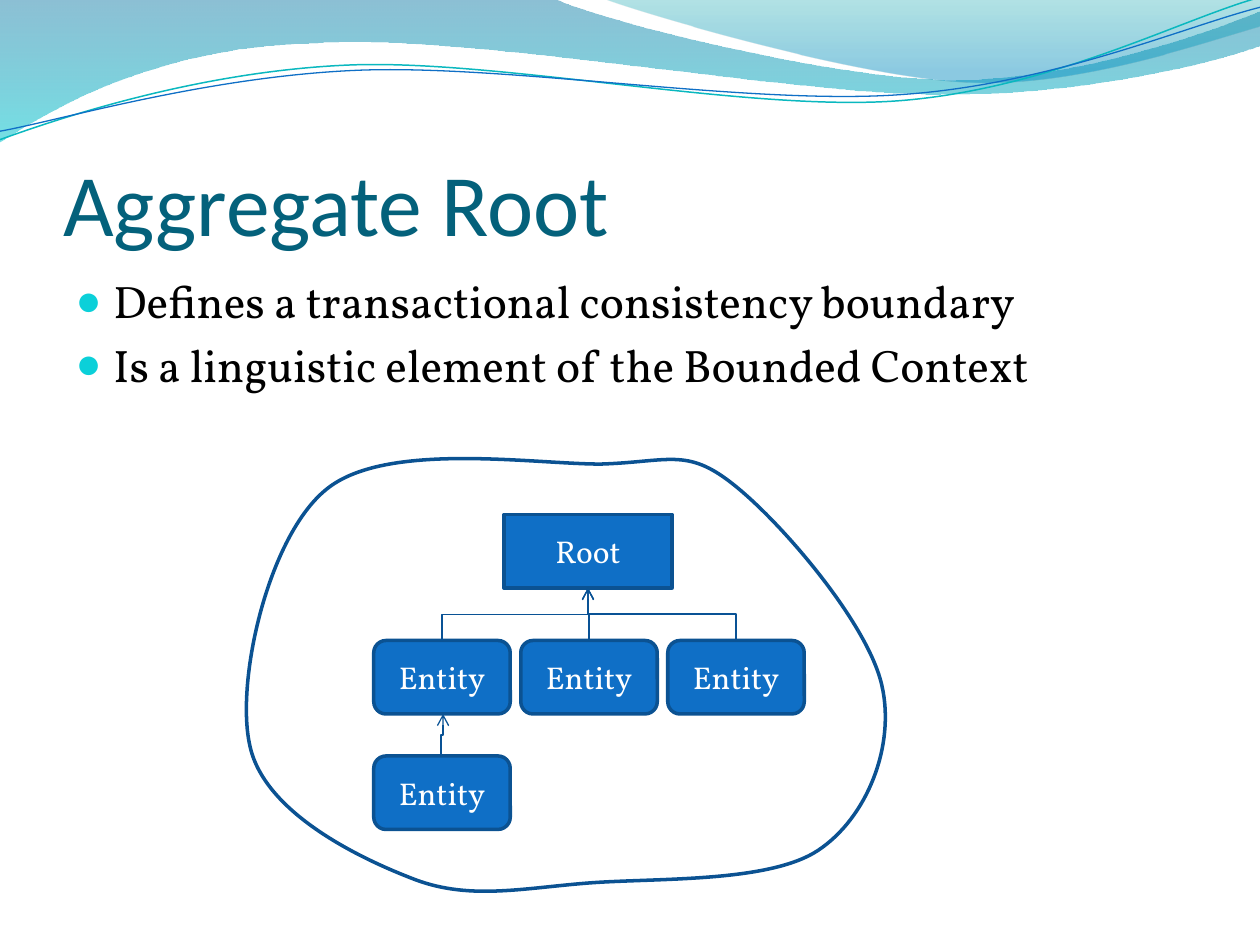
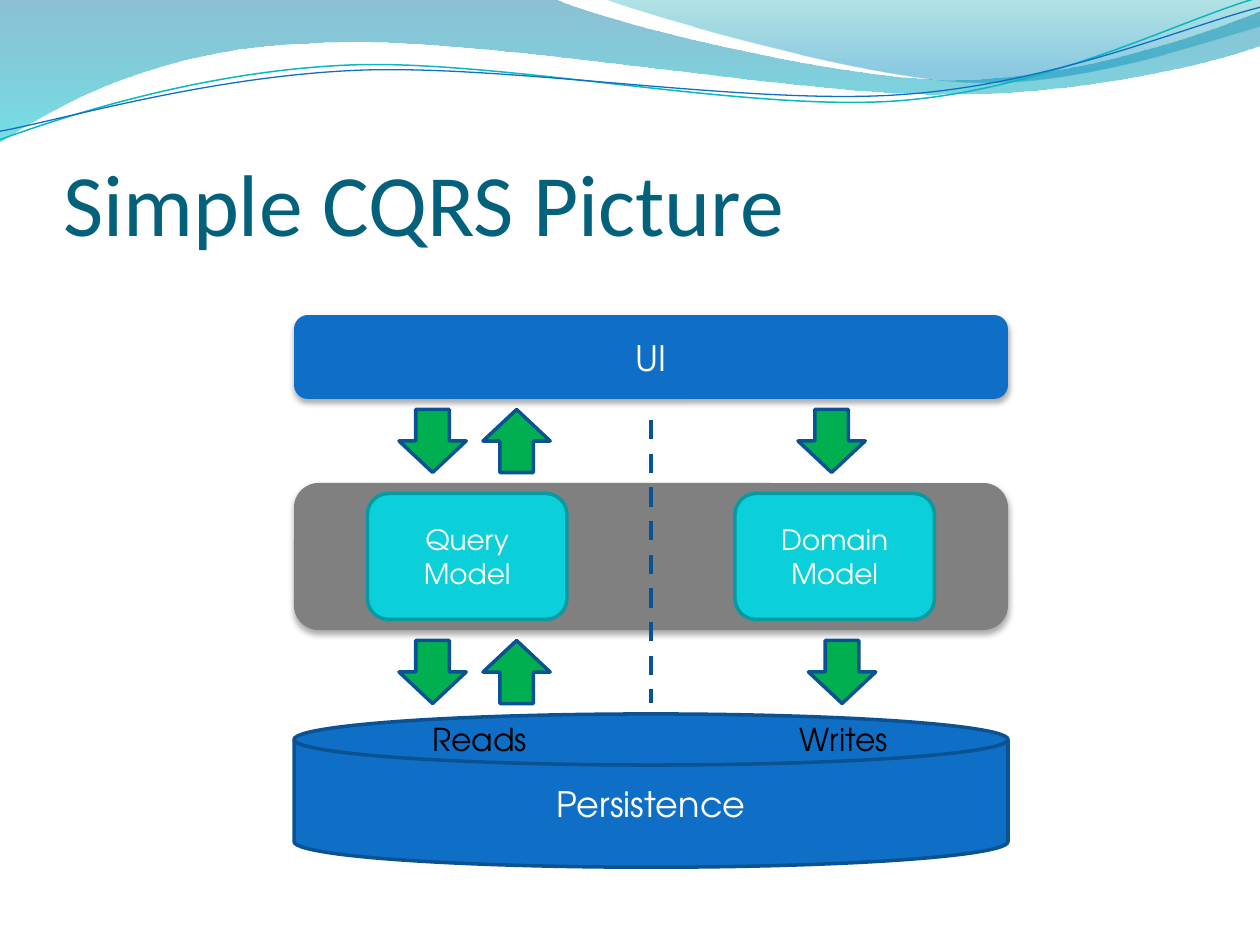
import dataclasses

import lxml.etree
import pptx
import pptx.dml.color
import pptx.enum.dml
import pptx.enum.shapes
import pptx.enum.text
import pptx.oxml.ns
import pptx.util

PX = 7620
TITLE_AND_BODY, TITLE_ONLY = 1, 5
SHAPE = pptx.enum.shapes.MSO_SHAPE
CONNECTOR = pptx.enum.shapes.MSO_CONNECTOR
ANCHOR = pptx.enum.text.MSO_ANCHOR
ALIGN = pptx.enum.text.PP_ALIGN
AUTO_SIZE = pptx.enum.text.MSO_AUTO_SIZE

LEFT_WAVE = [
    (0, 0), (528, -1),
    (571, 20, 797, 76, 910, 76), (1024, 76, 1150, 31, 1200, 11),
    (1201, 43),
    (1180, 53, 1044, 91, 895, 90), (746, 90, 458, 34, 308, 41),
    (155, 43, 55, 100, -1, 136), (0, 0),
]
RIGHT_WAVE = [
    (575, -1),
    (611, 13, 818, 74, 923, 78), (1027, 83, 1153, 38, 1200, 25),
    (1200, 0), (575, -1),
]
TEAL_STRAND = [
    (0, 133), (58, 112, 190, 68, 332, 62),
    (474, 56, 712, 107, 856, 96), (1000, 85, 1126, 18, 1198, -2),
]
BLUE_STRAND = [
    (0, 125), (56, 115, 197, 73, 340, 67),
    (484, 61, 716, 101, 860, 90), (1003, 80, 1129, 25, 1200, 7),
]
CONSISTENCY_BOUNDARY = [
    (572, 442),
    (508, 442, 367, 420, 311, 466), (256, 510, 224, 648, 238, 710),
    (251, 772, 337, 815, 391, 836), (445, 858, 496, 846, 560, 841),
    (624, 836, 732, 841, 779, 810), (826, 779, 853, 710, 840, 653),
    (827, 594, 744, 497, 698, 461), (654, 426, 637, 440, 572, 442),
]


@dataclasses.dataclass(frozen=True)
class Theme:
    blue: str = "0F6FC6"
    blue_edge: str = "0B5292"
    link: str = "095295"
    cyan: str = "0BD0D9"
    cyan_edge: str = "089AA1"
    strand: str = "0AB8BF"
    green: str = "00B050"
    gray: str = "808080"
    title: str = "04617B"
    ink: str = "000000"
    white: str = "FFFFFF"
    left_wave: tuple = ((0, "0074A1", 45), (1, "00C6CF", 55))
    right_wave: tuple = ((0, "00A1A9", 30), (0.8, "008BBF", 45))
    title_font: str = "Calibri"
    serif: str = "Vollkorn"
    sans: str = "TeX Gyre Adventor"
    bullet_font: str = "Arial"
    title_size: int = 50
    list_size: int = 26
    layer_size: int = 20
    label_size: int = 18
    model_size: int = 16
    edge: float = 2
    thin: float = 0.75
    strand_width: float = 0.85
    divider: float = 2.75


def rgb(color):
    return pptx.dml.color.RGBColor.from_string(color)


def px(*lengths):
    return [pptx.util.Emu(round(length * PX)) for length in lengths]


def add_xml(parent, tag, **attributes):
    child = lxml.etree.SubElement(parent, pptx.oxml.ns.qn(tag))
    for key, value in attributes.items():
        child.set(key, str(value))
    return child


class Deck:
    def __init__(self, theme):
        self.theme = theme
        self.presentation = pptx.Presentation()
        self.presentation.slide_width, self.presentation.slide_height = px(1200, 900)
        self.slide = None

    def new_slide(self, layout, title):
        layouts = self.presentation.slide_layouts
        self.slide = self.presentation.slides.add_slide(layouts[layout])
        heading = self.slide.shapes.title
        self.place(heading, 60, 92, 1080, 150)
        frame = heading.text_frame
        frame.auto_size = AUTO_SIZE.NONE
        frame.vertical_anchor = ANCHOR.BOTTOM
        frame.margin_left, frame.margin_top, frame.margin_right, frame.margin_bottom = px(0, 6, 0, 0)
        theme = self.theme
        self.add_lines(frame, [title], theme.title_font, theme.title_size, theme.title, ALIGN.LEFT)

    def place(self, shape, *box):
        shape.left, shape.top, shape.width, shape.height = px(*box)

    def add_lines(self, frame, lines, font, size, color, align=None):
        for index, line in enumerate(lines):
            paragraph = frame.add_paragraph() if index else frame.paragraphs[0]
            paragraph.alignment = align
            run = paragraph.add_run()
            run.text = line
            run.font.name = font
            run.font.size = pptx.util.Pt(size)
            run.font.color.rgb = rgb(color)

    def stroke(self, line, color, width):
        if color is None:
            line.fill.background()
            return
        line.color.rgb = rgb(color)
        line.width = pptx.util.Pt(width)

    def bullets(self, lines):
        theme = self.theme
        body = self.slide.placeholders[1]
        self.place(body, 60, 254, 1080, 576)
        frame = body.text_frame
        frame.auto_size = AUTO_SIZE.NONE
        self.add_lines(frame, lines, theme.serif, theme.list_size, theme.ink)
        for paragraph in frame.paragraphs:
            properties = paragraph._p.get_or_add_pPr()
            properties.set("marL", str(36 * PX))
            properties.set("indent", str(-36 * PX))
            add_xml(add_xml(properties, "a:buClr"), "a:srgbClr", val=theme.cyan)
            add_xml(properties, "a:buSzPct", val=95000)
            add_xml(properties, "a:buFont", typeface=theme.bullet_font)
            add_xml(properties, "a:buChar", char="●")

    def box(self, kind, bounds, fill, edge=None, lines=(), font=None, size=None,
            shadow=False, rotation=0):
        shape = self.slide.shapes.add_shape(kind, *px(*bounds))
        shape.rotation = rotation
        shape.fill.solid()
        shape.fill.fore_color.rgb = rgb(fill)
        self.stroke(shape.line, edge, self.theme.edge)
        shape.shadow.inherit = False
        if shadow:
            effects = shape.element.spPr.find(pptx.oxml.ns.qn("a:effectLst"))
            outer = add_xml(effects, "a:outerShdw", blurRad=pptx.util.Pt(3.5),
                            dist=pptx.util.Pt(2.2), dir=5400000, rotWithShape=0)
            add_xml(add_xml(outer, "a:srgbClr", val=self.theme.ink), "a:alpha", val=32000)
        shape.text_frame.vertical_anchor = ANCHOR.MIDDLE
        self.add_lines(shape.text_frame, lines, font, size, self.theme.white, ALIGN.CENTER)

    def label(self, text, bounds):
        frame = self.slide.shapes.add_textbox(*px(*bounds)).text_frame
        frame.word_wrap = False
        frame.auto_size = AUTO_SIZE.SHAPE_TO_FIT_TEXT
        self.add_lines(frame, [text], self.theme.sans, self.theme.label_size, self.theme.ink)

    def connector(self, kind, ends, width):
        link = self.slide.shapes.add_connector(kind, *px(*ends))
        self.stroke(link.line, self.theme.link, width)
        add_xml(link.element.spPr, "a:effectLst")
        return link

    def rising_elbow(self, start, end):
        (x1, y1), (x2, y2) = start, end
        middle_x, middle_y = (x1 + x2) / 2, (y1 + y2) / 2
        half_rise, half_run = (y1 - y2) / 2, (x2 - x1) / 2
        ends = (middle_x - half_rise, middle_y - half_run,
                middle_x + half_rise, middle_y + half_run)
        link = self.connector(CONNECTOR.ELBOW, ends, self.theme.thin)
        link.rotation = 270
        add_xml(link.element.spPr.find(pptx.oxml.ns.qn("a:ln")), "a:tailEnd", type="arrow")

    def dashed_line(self, *ends):
        link = self.connector(CONNECTOR.STRAIGHT, ends, self.theme.divider)
        link.line.dash_style = pptx.enum.dml.MSO_LINE.DASH

    def outline(self, segments, closed, edge=None, width=None, gradient=None):
        start, *legs = [list(zip(leg[::2], leg[1::2])) for leg in segments]
        builder = self.slide.shapes.build_freeform(*start[0], scale=PX)
        for leg in legs:
            builder.add_line_segments(leg, close=False)
        if closed:
            builder.add_line_segments([], close=True)
        shape = builder.convert_to_shape()
        contour = shape.element.xpath(".//a:path")[0]
        steps = iter(contour.findall(pptx.oxml.ns.qn("a:lnTo")))
        for leg in legs:
            taken = [next(steps) for _ in leg]
            if len(taken) == 3:
                curve = add_xml(contour, "a:cubicBezTo")
                taken[0].addprevious(curve)
                for step in taken:
                    curve.append(step[0])
                    contour.remove(step)
        if gradient:
            self.fade(shape, gradient)
        else:
            shape.fill.background()
        self.stroke(shape.line, edge, width)
        shape.shadow.inherit = False
        return shape

    def fade(self, shape, gradient):
        shape.fill.gradient()
        shape.fill.gradient_angle = 270
        for stop, (position, color, _) in zip(shape.fill.gradient_stops, gradient):
            stop.position = position
            stop.color.rgb = rgb(color)
        for tint, (_, _, opacity) in zip(shape.element.xpath(".//a:gs/a:srgbClr"), gradient):
            add_xml(tint, "a:alpha", val=opacity * 1000)

    def master_waves(self):
        theme = self.theme
        waves = [
            self.outline(LEFT_WAVE, True, gradient=theme.left_wave),
            self.outline(RIGHT_WAVE, True, gradient=theme.right_wave),
            self.outline(TEAL_STRAND, False, theme.strand, theme.strand_width),
            self.outline(BLUE_STRAND, False, theme.blue, theme.thin),
        ]
        tree = self.presentation.slide_master.element.cSld.spTree
        for index, wave in enumerate(waves):
            wave.element.xpath(".//p:cNvPr")[0].set("id", str(100 + index))
            tree.insert(2 + index, wave.element)


def aggregate_root(deck):
    theme = deck.theme
    deck.new_slide(TITLE_AND_BODY, "Aggregate Root")
    deck.master_waves()
    deck.bullets([
        "Defines a transactional consistency boundary",
        "Is a linguistic element of the Bounded Context",
    ])

    def node(kind, bounds, name):
        deck.box(kind, bounds, theme.blue, theme.blue_edge, [name], theme.serif, theme.label_size)

    node(SHAPE.RECTANGLE, (480, 490, 160, 70), "Root")
    entity_lefts = [356 + 140 * column for column in range(3)]
    for left, top in [(left, 610) for left in entity_lefts] + [(356, 720)]:
        node(SHAPE.ROUNDED_RECTANGLE, (left, top, 130, 70), "Entity")
    for left in entity_lefts:
        deck.rising_elbow((left + 65, 610), (560, 560))
    deck.rising_elbow((420, 720), (422, 680))
    deck.outline(CONSISTENCY_BOUNDARY, True, theme.blue_edge, theme.edge)


def simple_cqrs(deck):
    theme = deck.theme
    deck.new_slide(TITLE_ONLY, "Simple CQRS Picture")
    deck.box(SHAPE.ROUNDED_RECTANGLE, (280, 300, 680, 80), theme.blue, None, ["UI"],
             theme.sans, theme.layer_size, shadow=True)
    deck.box(SHAPE.FLOWCHART_MAGNETIC_DISK, (280, 680, 680, 146), theme.blue,
             theme.blue_edge, ["Persistence"], theme.sans, theme.layer_size)
    deck.box(SHAPE.ROUNDED_RECTANGLE, (280, 460, 680, 140), theme.gray, shadow=True)
    for left, role in ((350, "Query"), (700, "Domain")):
        deck.box(SHAPE.ROUNDED_RECTANGLE, (left, 470, 190, 120), theme.cyan,
                 theme.cyan_edge, [role, "Model"], theme.sans, theme.model_size)
    for top, write_left in ((390, 760), (610, 770)):
        for left, rotation in ((write_left, 0), (380, 0), (460, 180)):
            deck.box(SHAPE.DOWN_ARROW, (left, top, 64, 60), theme.green,
                     theme.blue_edge, rotation=rotation)
    deck.dashed_line(620, 400, 620, 670)
    deck.label("Writes", (750, 680, 112, 48))
    deck.label("Reads", (400, 680, 115, 48))


def main():
    deck = Deck(Theme())
    aggregate_root(deck)
    simple_cqrs(deck)
    deck.presentation.save("out.pptx")


if __name__ == "__main__":
    main()
